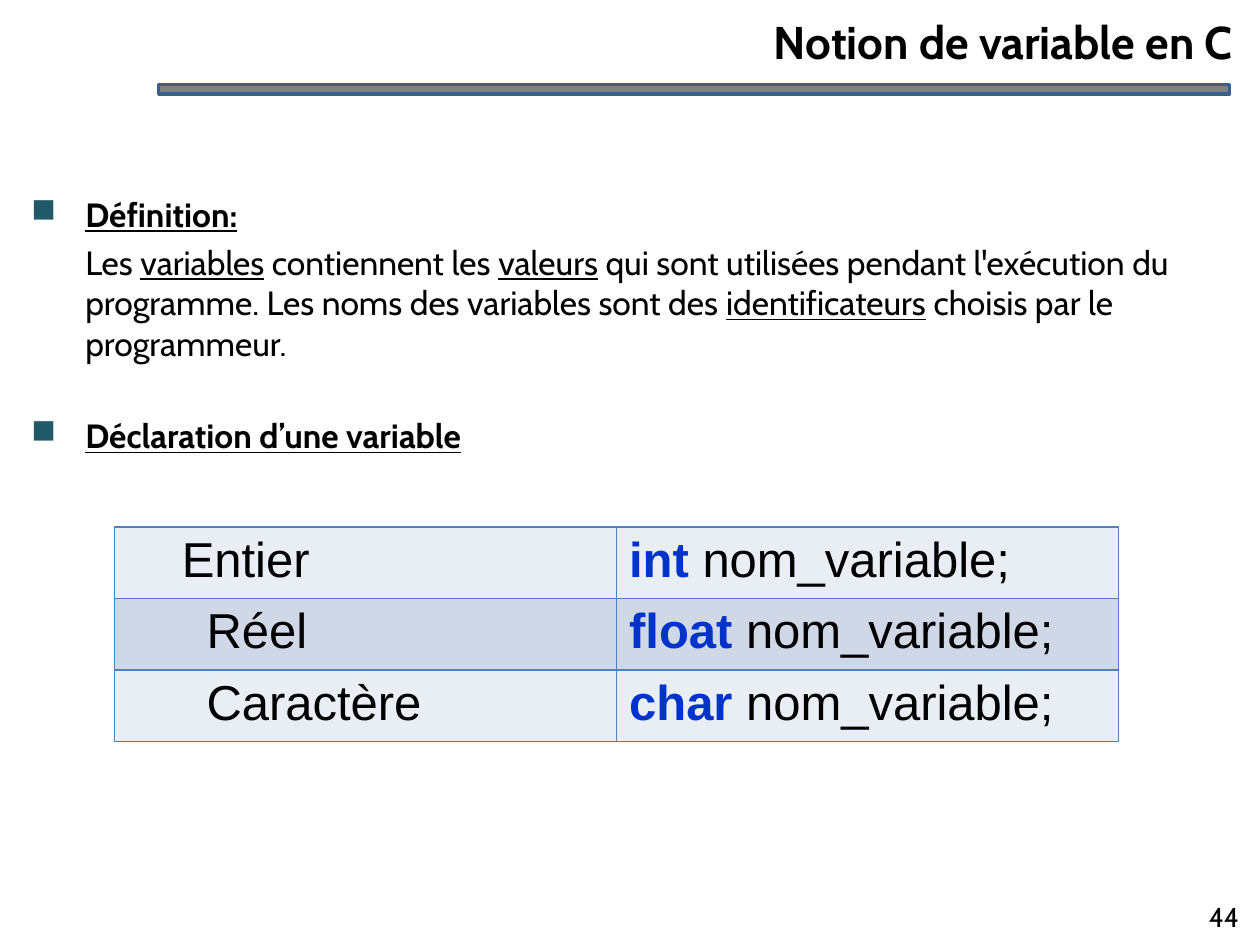
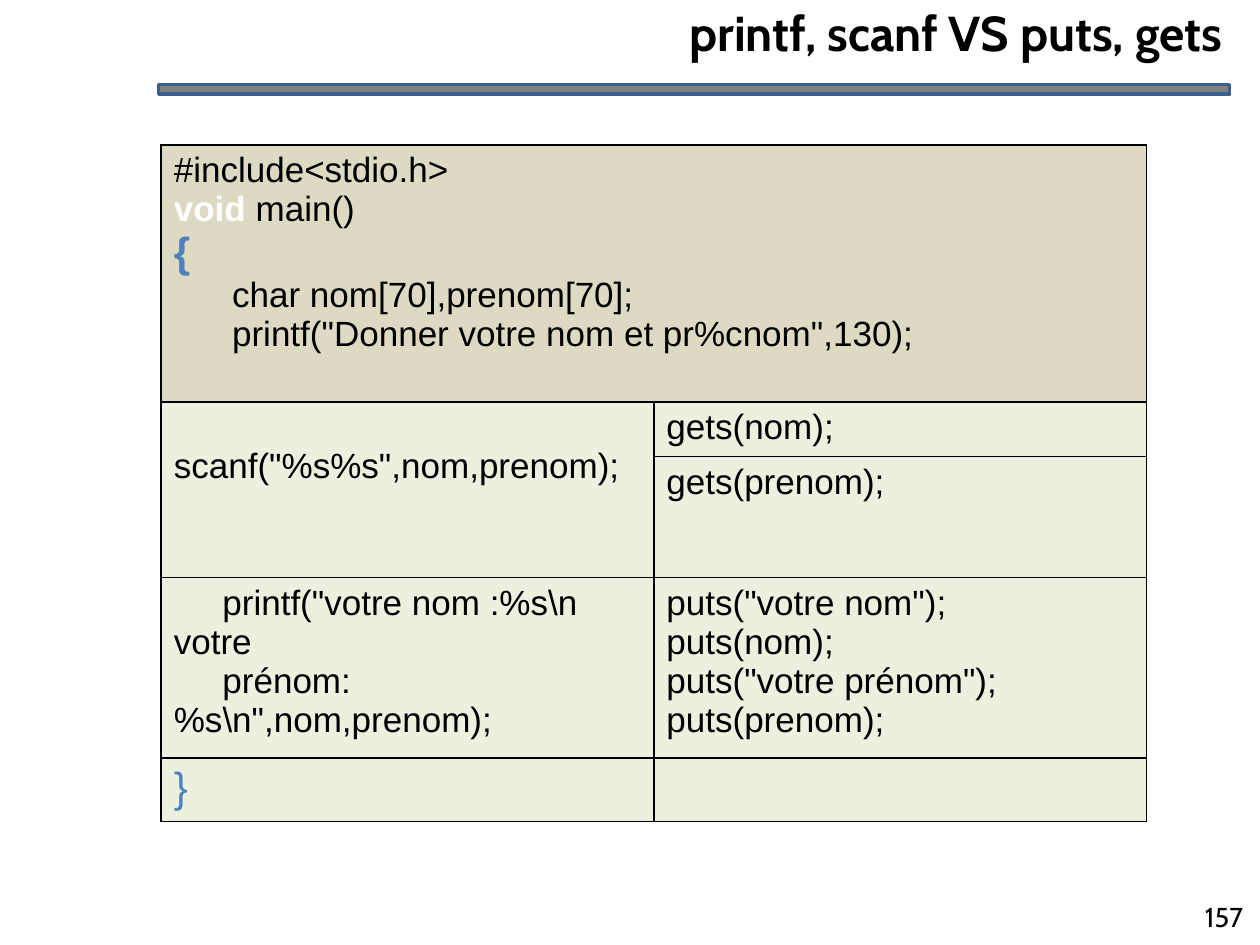
from dataclasses import dataclass
from typing import Optional

from lxml import etree
from pptx import Presentation, util as u
from pptx.dml.color import RGBColor
from pptx.enum import shapes, text
from pptx.oxml import ns

COLORS = {
    "text": "000000",
    "bar": "808080",
    "bar_line": "3A5F8C",
    "bullet": "215968",
    "keyword": "0033CC",
    "blue": "4F81BD",
    "white": "FFFFFF",
    "row_light": "E9EDF4",
    "row_dark": "D0D8E8",
    "header": "DDD9C3",
    "green": "EBF1DE",
}
HEAD_FONT, CODE_FONT = "Cabin", "Arial"
Cm, Pt = u.Cm, u.Pt


@dataclass(frozen=True)
class Run:
    text: str
    bold: Optional[bool] = None
    underline: Optional[bool] = None
    color: Optional[str] = None


@dataclass(frozen=True)
class Para:
    runs: tuple[Run, ...]
    size: float
    font: str = HEAD_FONT
    color: str = "text"
    bold: bool = False
    underline: bool = False
    indent: float = 0
    bullet: bool = False
    before: float = 0
    align: text.PP_ALIGN = text.PP_ALIGN.LEFT


@dataclass(frozen=True)
class Cell:
    row: int
    col: int
    paras: tuple[Para, ...]
    fill: str
    row_span: int = 1
    col_span: int = 1


@dataclass(frozen=True)
class Grid:
    left: float
    top: float
    col_width: float
    heights: tuple[float, ...]
    border: str
    cells: tuple[Cell, ...]


def rgb(name: str) -> RGBColor:
    return RGBColor.from_string(COLORS[name])


def sub(parent, tag: str, **attrs: str):
    return etree.SubElement(parent, ns.qn(tag), attrs)


def write(tf, paras: tuple[Para, ...]) -> None:
    for i, para in enumerate(paras):
        p = tf.paragraphs[0] if i == 0 else tf.add_paragraph()
        pPr = p._p.get_or_add_pPr()
        if para.indent:
            pPr.set("marL", str(Cm(para.indent)))
            pPr.set("indent", str(-Cm(para.indent) if para.bullet else 0))
        if para.bullet:
            sub(sub(pPr, "a:buClr"), "a:srgbClr", val=COLORS["bullet"])
            sub(pPr, "a:buChar", char="■")
        p.alignment = para.align
        if para.before:
            p.space_before = Pt(para.before)
        f = p.font
        f.name, f.size = para.font, Pt(para.size)
        f.bold, f.underline = para.bold, para.underline
        f.color.rgb = rgb(para.color)
        for run in para.runs:
            r = p.add_run()
            r.text = run.text
            if run.bold is not None:
                r.font.bold = run.bold
            if run.underline is not None:
                r.font.underline = run.underline
            if run.color:
                r.font.color.rgb = rgb(run.color)


def add_text(s, left: float, top: float, width: float, height: float,
             paras: tuple[Para, ...], inset: Optional[float] = None) -> None:
    tf = s.shapes.add_textbox(Cm(left), Cm(top), Cm(width), Cm(height)).text_frame
    tf.word_wrap = True
    if inset is not None:
        tf.margin_left = tf.margin_right = tf.margin_top = tf.margin_bottom = Cm(inset)
    write(tf, paras)


def add_page(prs, title: str, size: float, right: float, top: float, number: int):
    s = prs.slides.add_slide(prs.slide_layouts[6])
    bar = s.shapes.add_shape(shapes.MSO_SHAPE.RECTANGLE,
                             Cm(3.2), Cm(1.7), Cm(21.59), Cm(0.2))
    bar.shadow.inherit = False
    bar.fill.solid()
    bar.fill.fore_color.rgb = rgb("bar")
    bar.line.color.rgb = rgb("bar_line")
    bar.line.width = Pt(2)
    add_text(s, 0, top, right, 2,
             (Para((Run(title),), size, bold=True, align=text.PP_ALIGN.RIGHT),))
    add_text(s, 23.95, 18.03, 1.45, 1.02,
             (Para((Run(str(number)),), 15.6, align=text.PP_ALIGN.CENTER),))
    return s


def add_border(cell, color: str) -> None:
    tcPr = cell._tc.get_or_add_tcPr()
    for side in ("a:lnL", "a:lnR", "a:lnT", "a:lnB"):
        ln = sub(tcPr, side, w=str(Pt(1)))
        sub(sub(ln, "a:solidFill"), "a:srgbClr", val=COLORS[color])


def add_grid(s, grid: Grid) -> None:
    table = s.shapes.add_table(len(grid.heights), 2, Cm(grid.left), Cm(grid.top),
                               Cm(2 * grid.col_width), Cm(sum(grid.heights))).table
    table.first_row = table.horz_banding = False
    for col in table.columns:
        col.width = Cm(grid.col_width)
    for row, height in zip(table.rows, grid.heights):
        row.height = Cm(height)
    for cell in table.iter_cells():
        add_border(cell, grid.border)
    for item in grid.cells:
        for row in range(item.row, item.row + item.row_span):
            for col in range(item.col, item.col + item.col_span):
                part = table.cell(row, col)
                part.fill.solid()
                part.fill.fore_color.rgb = rgb(item.fill)
        cell = table.cell(item.row, item.col)
        if item.row_span > 1 or item.col_span > 1:
            cell.merge(table.cell(item.row + item.row_span - 1,
                                  item.col + item.col_span - 1))
        write(cell.text_frame, item.paras)


def code(*lines: str) -> tuple[Para, ...]:
    return tuple(Para((Run(line),), 20, CODE_FONT) for line in lines)


def brace(char: str, bold: bool = False) -> Para:
    return Para((Run(char),), 24, CODE_FONT, "blue", bold)


def variable_slide(prs) -> None:
    s = add_page(prs, "Notion de variable en C", 26.2, 25.1, 0.15, 44)
    size, indent = 19.2, 1.09
    definition = (
        Run("Les "), Run("variables", underline=True),
        Run(" contiennent les "), Run("valeurs", underline=True),
        Run(" qui sont utilisées pendant l'exécution du programme. "
            "Les noms des variables sont des "),
        Run("identificateurs", underline=True),
        Run(" choisis par le programmeur."),
    )
    add_text(s, 0.53, 3.81, 24.31, 8, (
        Para((Run("Définition:"),), size, bold=True, underline=True,
             indent=indent, bullet=True),
        Para(definition, size, indent=indent, before=4.5),
        Para((Run("Déclaration d’une variable"),), size, bold=True, underline=True,
             indent=indent, bullet=True, before=30),
    ), inset=0.1)
    types = (("Entier", "int", 1.1), ("Réel", "float", 1.6), ("Caractère", "char", 1.6))
    cells = []
    for row, (label, keyword, left) in enumerate(types):
        fill = "row_dark" if row % 2 else "row_light"
        declaration = (Run(f"{keyword} ", bold=True, color="keyword"),
                       Run("nom_variable;"))
        cells += [
            Cell(row, 0, (Para((Run(label),), 28, CODE_FONT, indent=left),), fill),
            Cell(row, 1, (Para(declaration, 28, CODE_FONT),), fill),
        ]
    add_grid(s, Grid(2.31, 10.62, 10.12, (1.36,) * len(types), "blue", tuple(cells)))


def input_output_slide(prs) -> None:
    s = add_page(prs, "printf, scanf VS puts, gets", 28, 24.89, -0.08, 157)
    main_line = Para((Run("void", bold=True, color="white"), Run(" main()")),
                     20, CODE_FONT)
    opening = (
        *code("#include<stdio.h>"), main_line, brace("{", True),
        *code("      char nom[70],prenom[70];",
              '      printf("Donner votre nom et pr%cnom",130);'),
    )
    add_grid(s, Grid(3.25, 2.92, 9.93, (5.18, 1.04, 2.44, 3.4, 1.2), "text", (
        Cell(0, 0, opening, "header", col_span=2),
        Cell(1, 0, code('     scanf("%s%s",nom,prenom);'), "green", row_span=2),
        Cell(1, 1, code("gets(nom);"), "green"),
        Cell(2, 1, code("gets(prenom);"), "green"),
        Cell(3, 0, code('     printf("votre nom :%s\\n votre',
                        '     prénom:%s\\n",nom,prenom);'), "green"),
        Cell(3, 1, code('puts("votre nom");', "puts(nom);",
                        'puts("votre prénom");', "puts(prenom);"), "green"),
        Cell(4, 0, (brace("}"),), "green"),
        Cell(4, 1, (), "green"),
    )))


def main() -> None:
    prs = Presentation()
    prs.slide_width, prs.slide_height = Cm(25.4), Cm(19.05)
    variable_slide(prs)
    input_output_slide(prs)
    prs.save("out.pptx")


if __name__ == "__main__":
    main()
